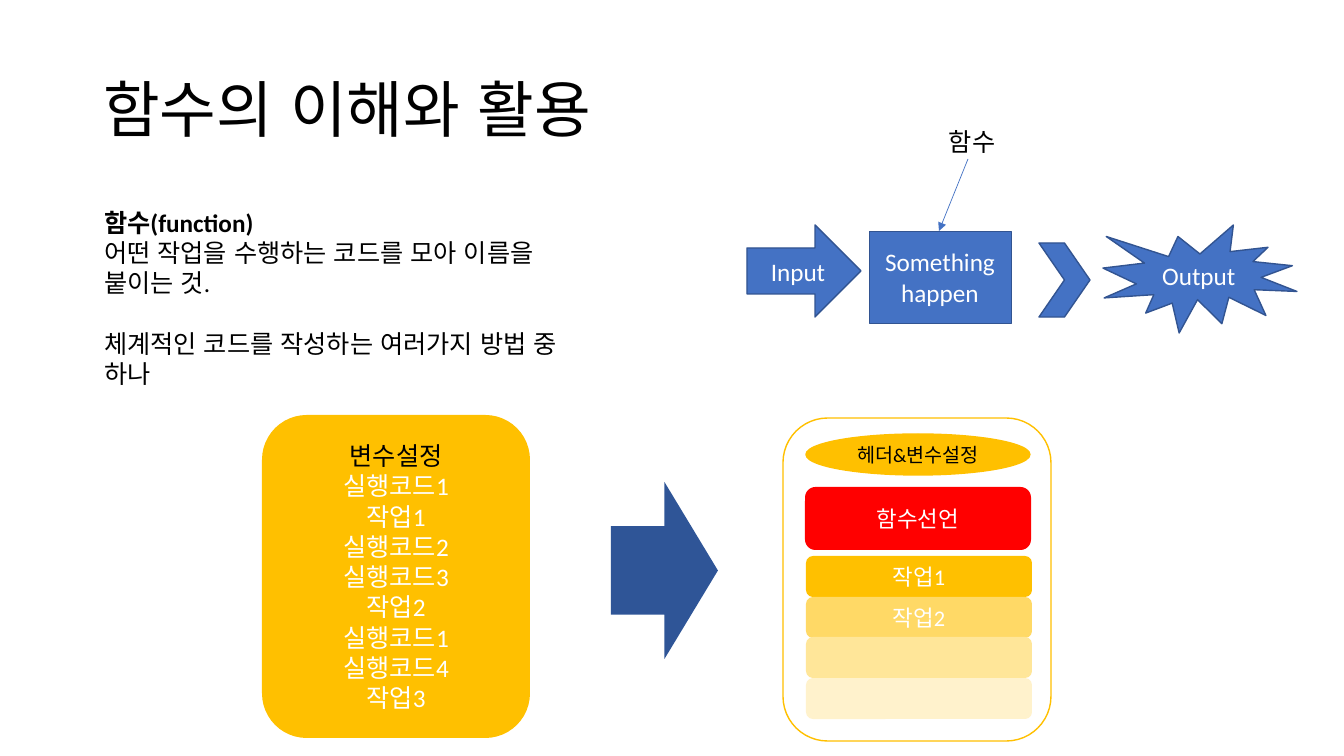
from dataclasses import dataclass

from lxml import etree
from pptx import Presentation
from pptx.dml.color import RGBColor
from pptx.enum.lang import MSO_LANGUAGE_ID
from pptx.enum.shapes import MSO_CONNECTOR, MSO_SHAPE
from pptx.enum.text import MSO_ANCHOR, MSO_AUTO_SIZE, PP_ALIGN
from pptx.oxml.ns import qn
from pptx.util import Emu, Pt

CARD = MSO_SHAPE.FLOWCHART_ALTERNATE_PROCESS
PROCESS = MSO_SHAPE.FLOWCHART_PROCESS
ARROW = MSO_SHAPE.RIGHT_ARROW
CHEVRON = MSO_SHAPE.CHEVRON
BURST = MSO_SHAPE.EXPLOSION1
OVAL = MSO_SHAPE.OVAL
STRAIGHT = MSO_CONNECTOR.STRAIGHT
LEFT, CENTER = PP_ALIGN.LEFT, PP_ALIGN.CENTER
TOP, MIDDLE = MSO_ANCHOR.TOP, MSO_ANCHOR.MIDDLE
NO_FIT = MSO_AUTO_SIZE.NONE
KOREAN = MSO_LANGUAGE_ID.KOREAN

FONT = "Calibri"
BLACK, WHITE, RED = "000000", "FFFFFF", "FF0000"
BLUE, NAVY, DEEP, GOLD = "4472C4", "325491", "2F5597", "FFC000"
Box = tuple[int, int, int, int]


@dataclass
class Part:
    kind: int
    box: Box
    fill: str = ""
    line: str = ""
    text: str = ""
    size: int = 18
    color: str = WHITE
    head: str = ""
    inset: int = 10
    weight: float = 1


def px(n: int) -> Emu:
    return Emu(round(n * 914400 / 100.8))


def rgb(code: str) -> RGBColor:
    return RGBColor.from_string(code)


def write(frame, text: str, *, size: int = 18, color: str = BLACK,
          head: str = "", align=CENTER, anchor=MIDDLE,
          spacing: float = 1.0) -> None:
    frame.word_wrap = True
    frame.auto_size = NO_FIT
    frame.vertical_anchor = anchor
    for i, words in enumerate(text.split("\n")):
        para = frame.add_paragraph() if i else frame.paragraphs[0]
        para.alignment = align
        para.line_spacing = spacing
        para.space_before = Pt(0)
        run = para.add_run()
        run.text = words
        run.font.name = FONT
        run.font.size = Pt(size)
        run.font.language_id = KOREAN
        run.font.color.rgb = rgb(head if head and i == 0 else color)


def place(shape, box: Box) -> None:
    shape.left, shape.top, shape.width, shape.height = map(px, box)


def draw(slide, part: Part) -> None:
    shape = slide.shapes.add_shape(part.kind, *map(px, part.box))
    shape.shadow.inherit = False
    if part.fill:
        shape.fill.solid()
        shape.fill.fore_color.rgb = rgb(part.fill)
    else:
        shape.fill.background()
    if part.line:
        shape.line.color.rgb = rgb(part.line)
        shape.line.width = Pt(part.weight)
    else:
        shape.line.fill.background()
    if part.text:
        shape.text_frame.margin_left = px(part.inset)
        write(shape.text_frame, part.text, size=part.size, color=part.color,
              head=part.head)


def point(slide, start: tuple[int, int], end: tuple[int, int]) -> None:
    link = slide.shapes.add_connector(STRAIGHT, *map(px, start + end))
    link.line.color.rgb = rgb(BLUE)
    link.line.width = Pt(0.5)
    props = link.line._get_or_add_ln()
    etree.SubElement(props, qn("a:tailEnd"), type="triangle")
    etree.SubElement(link._element.spPr, qn("a:effectLst"))


STEPS = """변수설정
실행코드1
작업1
실행코드2
실행코드3
작업2
실행코드1
실행코드4
작업3"""

FLOW = [
    Part(PROCESS, (869, 231, 142, 92), BLUE, NAVY, "Something\nhappen", weight=0.5),
    Part(ARROW, (747, 225, 114, 92), BLUE, NAVY, "Input", inset=21),
    Part(CHEVRON, (1039, 243, 51, 74), BLUE, NAVY),
    Part(BURST, (1103, 225, 194, 108), BLUE, NAVY, "Output"),
]
CODE = [
    Part(CARD, (262, 415, 268, 323), GOLD, text=STEPS, head=BLACK),
    Part(ARROW, (611, 482, 107, 177), DEEP),
    Part(CARD, (783, 418, 268, 323), line=GOLD),
    Part(OVAL, (806, 434, 224, 41), GOLD, GOLD, "헤더&변수설정", 14, BLACK),
    Part(CARD, (805, 487, 226, 63), RED, text="함수선언", size=16),
]
# The two palest bars carry no legible label
TASKS = [
    Part(CARD, (806, 556 + round(40.7 * i), 226, 41), tint, text=name, size=16)
    for i, (tint, name) in enumerate([
        (GOLD, "작업1"), ("FFD966", "작업2"), ("FFE699", ""), ("FFF2CC", "")])
]


def main() -> None:
    deck = Presentation()
    deck.slide_width, deck.slide_height = px(1344), px(756)
    slide = deck.slides.add_slide(deck.slide_layouts[1])

    # Title
    title = slide.shapes.title
    place(title, (93, 40, 1159, 146))
    write(title.text_frame, "함수의 이해와 활용", size=44, align=LEFT, spacing=0.9)

    # Definition
    body = slide.placeholders[1]
    place(body, (94, 202, 487, 285))
    write(body.text_frame, "함수(function)\n"
          "어떤 작업을 수행하는 코드를 모아 이름을 붙이는 것.\n"
          "체계적인 코드를 작성하는 여러가지 방법 중 하나", align=LEFT, anchor=TOP)
    paras = body.text_frame.paragraphs
    for para in paras:
        props = para._p.get_or_add_pPr()
        props.set("marL", "0")
        props.set("indent", "0")
        etree.SubElement(props, qn("a:buNone"))
    paras[0].runs[0].font.bold = True
    paras[2].space_before = Pt(22)

    # Input to output flow, then code before and after
    for part in FLOW + CODE + TASKS:
        draw(slide, part)

    # Function label and its pointer
    label = slide.shapes.add_textbox(*map(px, (939, 121, 82, 40)))
    write(label.text_frame, "함수", align=LEFT, anchor=TOP)
    point(slide, (968, 159), (939, 231))

    deck.save("out.pptx")


if __name__ == "__main__":
    main()
